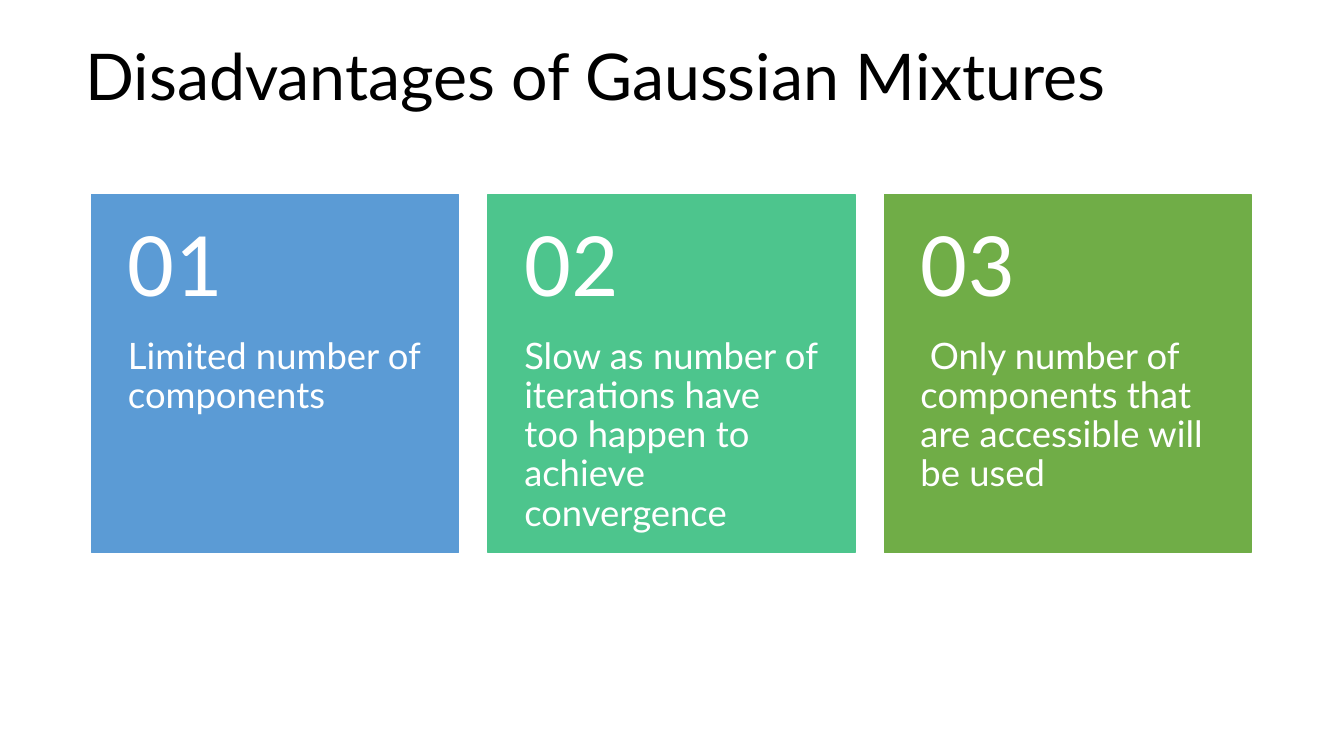
from dataclasses import dataclass

from pptx import Presentation
from pptx.dml.color import RGBColor
from pptx.enum.shapes import MSO_SHAPE
from pptx.enum.text import MSO_ANCHOR, MSO_AUTO_SIZE, PP_ALIGN
from pptx.util import Inches, Pt


@dataclass(frozen=True)
class Theme:
    title_color: RGBColor = RGBColor.from_string("000000")
    card_text: RGBColor = RGBColor.from_string("FFFFFF")
    card_fills: tuple = tuple(
        RGBColor.from_string(color) for color in ("5B9BD5", "4DC58D", "70AD47")
    )
    text_font: str = "Lato"
    number_font: str = "Calibri"
    title_size: Pt = Pt(46)
    number_size: Pt = Pt(66)
    body_size: Pt = Pt(26)


THEME = Theme()

DISADVANTAGES = (
    "Limited number of components",
    "Slow as number of iterations have too happen to achieve convergence",
    " Only number of components that are accessible will be used",
)

CARD_LEFT, CARD_TOP = Inches(0.91), Inches(1.93)
CARD_WIDTH, CARD_HEIGHT = Inches(3.64), Inches(3.55)
CARD_PITCH = Inches(3.93)
NUMBER_HEIGHT = Inches(1.42)
PADDING = Inches(0.36)


def format_paragraph(paragraph, font_name, size, color):
    paragraph.alignment = PP_ALIGN.LEFT
    paragraph.line_spacing = 0.9
    paragraph.font.name = font_name
    paragraph.font.size = size
    paragraph.font.color.rgb = color


def set_title(slide, text):
    title = slide.shapes.title
    title.left, title.top = Inches(0.75), Inches(0.22)
    title.width, title.height = Inches(11.67), Inches(1.14)
    frame = title.text_frame
    frame.text = text
    frame.word_wrap = True
    frame.auto_size = MSO_AUTO_SIZE.NONE
    frame.vertical_anchor = MSO_ANCHOR.MIDDLE
    format_paragraph(
        frame.paragraphs[0], THEME.text_font, THEME.title_size, THEME.title_color
    )


def add_card_text(shapes, text, left, top, height, margins, anchor, font_name, size):
    """Add a card-wide text box; margins are its top and bottom insets."""
    frame = shapes.add_textbox(left, top, CARD_WIDTH, height).text_frame
    frame.text = text
    frame.word_wrap = True
    frame.vertical_anchor = anchor
    frame.margin_left = frame.margin_right = PADDING
    frame.margin_top, frame.margin_bottom = margins
    format_paragraph(frame.paragraphs[0], font_name, size, THEME.card_text)


def add_card(slide, index, text, fill):
    left = CARD_LEFT + index * CARD_PITCH
    shapes = slide.shapes.add_group_shape().shapes
    card = shapes.add_shape(
        MSO_SHAPE.RECTANGLE, left, CARD_TOP, CARD_WIDTH, CARD_HEIGHT
    )
    card.shadow.inherit = False
    card.fill.solid()
    card.fill.fore_color.rgb = fill
    card.line.color.rgb = fill
    card.line.width = Pt(1)
    add_card_text(
        shapes, text, left, CARD_TOP + NUMBER_HEIGHT, CARD_HEIGHT - NUMBER_HEIGHT,
        (0, PADDING), MSO_ANCHOR.TOP, THEME.text_font, THEME.body_size,
    )
    add_card_text(
        shapes, f"{index + 1:02}", left, CARD_TOP, NUMBER_HEIGHT,
        (Inches(0.18), Inches(0.18)), MSO_ANCHOR.MIDDLE,
        THEME.number_font, THEME.number_size,
    )


def main():
    presentation = Presentation()
    presentation.slide_width, presentation.slide_height = Inches(13.33), Inches(7.5)
    title_only = presentation.slide_layouts[5]
    slide = presentation.slides.add_slide(title_only)
    set_title(slide, "Disadvantages of Gaussian Mixtures")
    for index, (text, fill) in enumerate(zip(DISADVANTAGES, THEME.card_fills)):
        add_card(slide, index, text, fill)
    presentation.save("out.pptx")


if __name__ == "__main__":
    main()
